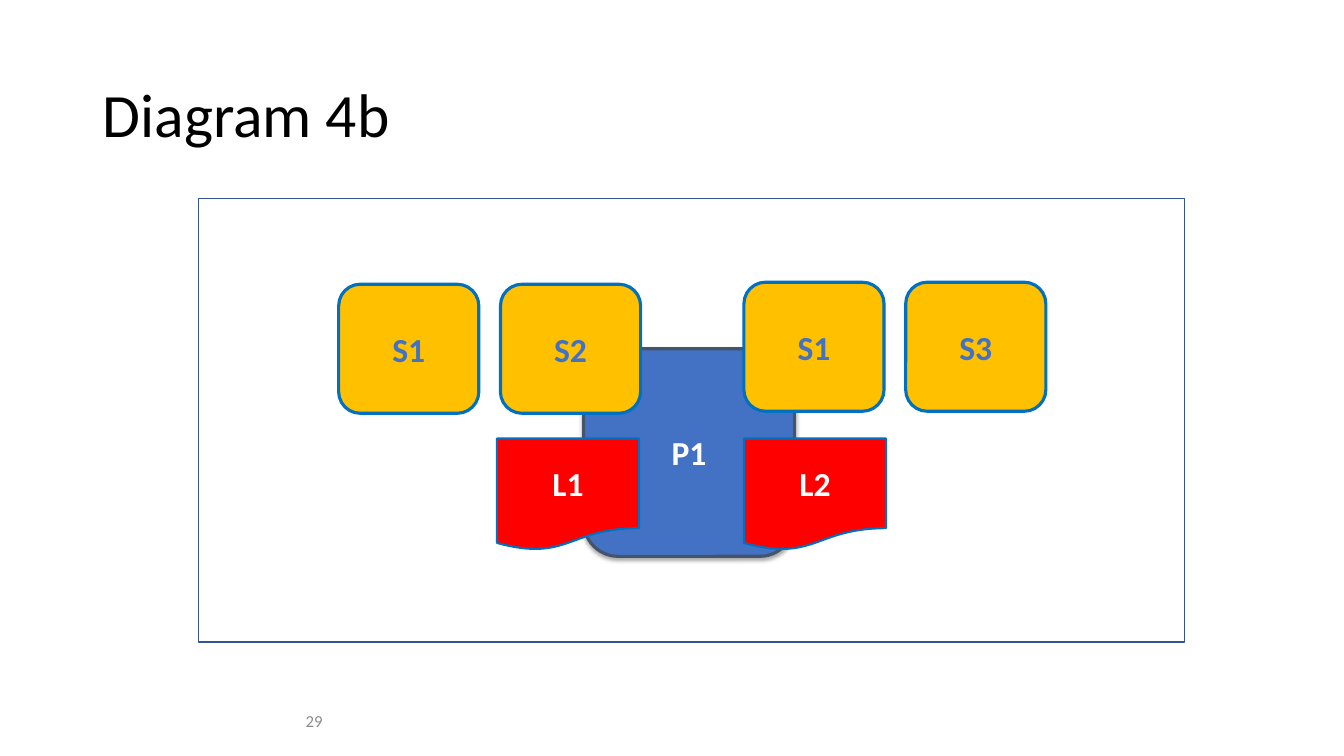
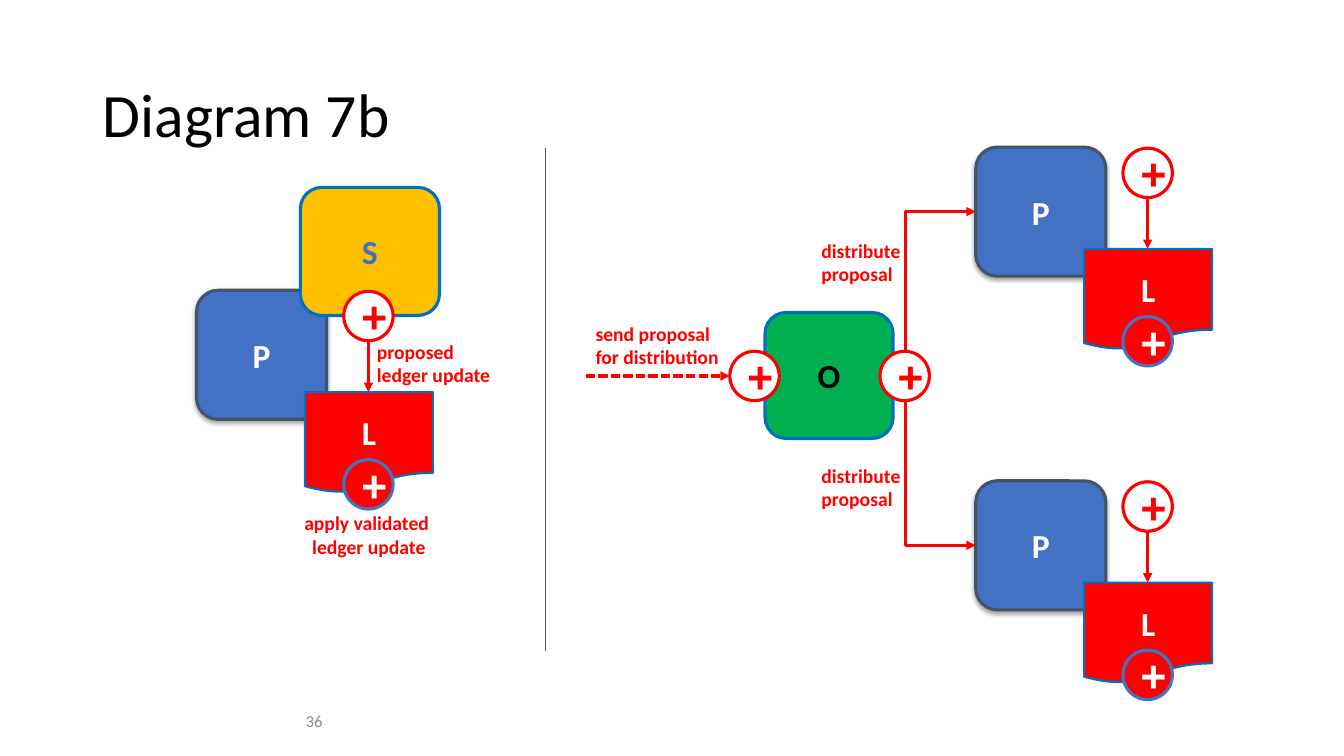
import pptx
import pptx.dml.color
import pptx.enum.dml
import pptx.enum.shapes
import pptx.enum.text
import pptx.oxml
import pptx.oxml.ns
import pptx.util

# The slide is a grid of square cells, ten to the inch.
CELL = pptx.util.Inches(0.1)
COLUMNS, ROWS = 133.33, 75

BLUE, SLATE, RED, WHITE = "4372C4", "44546A", "FF0000", "FFFFFF"
AMBER, EDGE, GREEN, BLACK = "FFC000", "0070C0", "00B050", "000000"
FRAME, RING, GREY = "325491", "4472C4", "8C8C8C"

SHAPES = pptx.enum.shapes.MSO_SHAPE
ALIGN = pptx.enum.text.PP_ALIGN
LABEL = {"size": 24, "bold": True, "name": "Calibri"}
PLUS = {"size": 32, "bold": True, "name": "Courier New"}
NOTE = {"size": 14, "bold": True, "name": "Calibri"}

KINDS = {
    "peer": dict(shape=SHAPES.ROUNDED_RECTANGLE, fill=BLUE, line=SLATE,
                 weight=2.25, color=WHITE, font=LABEL, shadow=True),
    "contract": dict(shape=SHAPES.ROUNDED_RECTANGLE, fill=AMBER, line=EDGE,
                     weight=2.25, color=BLUE, font=LABEL),
    "orderer": dict(shape=SHAPES.ROUNDED_RECTANGLE, fill=GREEN, line=EDGE,
                    weight=2.25, color=BLACK, font=LABEL),
    "ledger": dict(shape=SHAPES.FLOWCHART_DOCUMENT, fill=RED, line=EDGE,
                   weight=1.5, color=WHITE, font=LABEL),
    "proposal": dict(shape=SHAPES.OVAL, fill=WHITE, line=RED,
                     weight=2.25, color=RED, font=PLUS),
    "applied": dict(shape=SHAPES.OVAL, fill=RED, line=RING,
                    weight=2.25, color=WHITE, font=PLUS),
    "frame": dict(shape=SHAPES.RECTANGLE, fill=None, line=FRAME, weight=1),
}
PLUS_SIZE = 4.9
PEER_SIZE = (12.9, 12.8)


def cells(*lengths):
    return [round(length * CELL) for length in lengths]


def rgb(value):
    return pptx.dml.color.RGBColor.from_string(value)


def write(frame, lines, font, color, **paragraph_format):
    for index, line in enumerate(lines):
        para = frame.add_paragraph() if index else frame.paragraphs[0]
        for name, value in paragraph_format.items():
            setattr(para, name, value)
        span = para.add_run()
        span.text = line
        for name, value in font.items():
            setattr(span.font, name, pptx.util.Pt(value) if name == "size" else value)
        span.font.color.rgb = rgb(color)


def add_text(page, box, lines, font, color, anchor="TOP", **paragraph_format):
    frame = page.shapes.add_textbox(*cells(*box)).text_frame
    frame.word_wrap = True
    frame.vertical_anchor = pptx.enum.text.MSO_ANCHOR[anchor]
    write(frame, lines, font, color, **paragraph_format)


def cast_shadow(shape):
    effects = shape._element.spPr.find(pptx.oxml.ns.qn("a:effectLst"))
    effects.append(pptx.oxml.parse_xml(
        f'<a:outerShdw {pptx.oxml.ns.nsdecls("a")} blurRad="39370" dist="22860"'
        ' dir="5400000" rotWithShape="0"><a:srgbClr val="000000">'
        '<a:alpha val="35000"/></a:srgbClr></a:outerShdw>'))


def add_node(page, kind, box, text=None):
    look = KINDS[kind]
    node = page.shapes.add_shape(look["shape"], *cells(*box))
    node.shadow.inherit = False
    if look["fill"]:
        node.fill.solid()
        node.fill.fore_color.rgb = rgb(look["fill"])
    else:
        node.fill.background()
    node.line.color.rgb = rgb(look["line"])
    node.line.width = pptx.util.Pt(look["weight"])
    if look.get("shadow"):
        cast_shadow(node)
        node.text_frame.margin_top = node.text_frame.margin_bottom = pptx.util.Inches(0.04)
    if text:
        write(node.text_frame, [text], look["font"], look["color"], alignment=ALIGN.CENTER)


def add_plus(page, kind, left, top):
    add_node(page, kind, (left, top, PLUS_SIZE, PLUS_SIZE), "+")


def add_line(page, start, end, color=RED, weight=2.25, arrow=True, dashed=False, kind="STRAIGHT"):
    line = page.shapes.add_connector(
        pptx.enum.shapes.MSO_CONNECTOR[kind], *cells(*start, *end))
    line.line.color.rgb = rgb(color)
    line.line.width = pptx.util.Pt(weight)
    if dashed:
        line.line.dash_style = pptx.enum.dml.MSO_LINE.SQUARE_DOT
    properties = line._element.spPr
    if arrow:
        outline = properties.find(pptx.oxml.ns.qn("a:ln"))
        outline.append(pptx.oxml.parse_xml(
            f'<a:tailEnd {pptx.oxml.ns.nsdecls("a")} type="triangle"/>'))
    properties.append(pptx.oxml.parse_xml(f'<a:effectLst {pptx.oxml.ns.nsdecls("a")}/>'))
    return line


def add_bend(page, start, end):
    """Arrow that leaves vertically, turns once and ends to the right."""
    run, rise = end[0] - start[0], abs(end[1] - start[1])
    middle_x, middle_y = (start[0] + end[0]) / 2, (start[1] + end[1]) / 2
    upward = end[1] < start[1]
    tilt = run / 2 if upward else -run / 2
    bend = add_line(page, (middle_x + rise / 2, middle_y + tilt),
                    (middle_x - rise / 2, middle_y - tilt), kind="ELBOW")
    properties = bend._element.spPr
    properties.find(pptx.oxml.ns.qn("a:xfrm")).set("rot", "5400000" if upward else "16200000")
    properties.find(pptx.oxml.ns.qn("a:prstGeom")).set("prst", "bentConnector2")


def add_page(deck, title, number):
    page = deck.slides.add_slide(deck.slide_layouts[6])
    add_text(page, (9.2, 4.4, 115, 14.5), [title], {"size": 44, "name": "Calibri"},
             BLACK, "MIDDLE", line_spacing=0.9)
    add_text(page, (3, 69.5, 30, 4), [number], {"size": 12, "name": "Calibri"},
             GREY, "MIDDLE", alignment=ALIGN.RIGHT)
    return page


def draw_contract_pair(page, left, top, names):
    for index, name in enumerate(names):
        add_node(page, "contract", (left + 16.05 * index, top, 13.9, 12.8), name)


def draw_shared_peer(page, box):
    """One peer with two ledgers and two pairs of contracts, in a frame."""
    left, top, width, height = box
    add_node(page, "peer", (left + 38.2, top + 14.9, 20.9, 20.6), "P1")
    for offset, name in ((29.6, "L1"), (54.1, "L2")):
        add_node(page, "ledger", (left + offset, top + 23.8, 14.1, 11.1), name)
    draw_contract_pair(page, left + 13.9, top + 8.5, ("S1", "S2"))
    draw_contract_pair(page, left + 54.1, top + 8.3, ("S1", "S3"))
    add_node(page, "frame", box)


def draw_peer_update(page, left, top, with_contract=False):
    """A peer whose ledger receives a proposal from above."""
    add_node(page, "peer", (left, top, *PEER_SIZE), "P")
    if with_contract:
        add_node(page, "contract", (left + 10.3, top - 10.2, 13.8, 12.7), "S")
    add_node(page, "ledger", (left + 10.75, top + 10.1, 12.7, 10), "L")
    add_plus(page, "applied", left + 14.6, top + 16.8)
    add_line(page, (left + 17.05, top + 5), (left + 17.05, top + 10.1))
    add_plus(page, "proposal", left + 14.6, top + 0.1)


def draw_proposing_peer(page, left, top):
    draw_peer_update(page, left, top, with_contract=True)
    add_text(page, (left + 16.9, top + 4.4, 13.5, 5.7),
             ["proposed", "ledger update"], NOTE, RED)
    add_text(page, (left + 8.9, top + 21.4, 16.4, 5.7),
             ["apply validated ", "ledger update"], NOTE, RED, alignment=ALIGN.CENTER)


def draw_distribution(page, left, top):
    """An orderer that passes a proposal on to an upper and a lower peer."""
    peer_left, peer_tops = left + 38.7, (top, top + 33.1)
    exit_x, plus_top = left + 31.7, top + 20.25
    add_node(page, "orderer", (left + 17.8, top + 16.4, 12.7, 12.5), "O")
    for peer_top in peer_tops:
        draw_peer_update(page, peer_left, peer_top)
    add_plus(page, "proposal", left + 29.2, plus_top)
    starts = (plus_top, plus_top + PLUS_SIZE)
    for start_y, peer_top, note_top in zip(starts, peer_tops, (top + 8.6, top + 30.9)):
        add_bend(page, (exit_x, start_y), (peer_left, peer_top + PEER_SIZE[1] / 2))
        add_text(page, (left + 22.4, note_top, 14.7, 5.7), ["distribute proposal"], NOTE, RED)
    add_plus(page, "proposal", left + 14.3, plus_top)
    entry_y = plus_top + PLUS_SIZE / 2
    add_line(page, (left, entry_y), (left + 14.3, entry_y), dashed=True)
    add_text(page, (left, top + 16.8, 14.7, 5.7), ["send proposal for distribution"], NOTE, RED)


def main():
    deck = pptx.Presentation()
    deck.slide_width, deck.slide_height = cells(COLUMNS, ROWS)

    page = add_page(deck, "Diagram 4b", "29")
    draw_shared_peer(page, (19.7, 19.7, 97.8, 44))

    page = add_page(deck, "Diagram 7b", "36")
    draw_proposing_peer(page, 19.5, 28.8)
    draw_distribution(page, 58.1, 14.6)
    add_line(page, (54.1, 14.7), (54.1, 64.6), SLATE, 0.25, arrow=False)

    deck.save("out.pptx")


if __name__ == "__main__":
    main()
